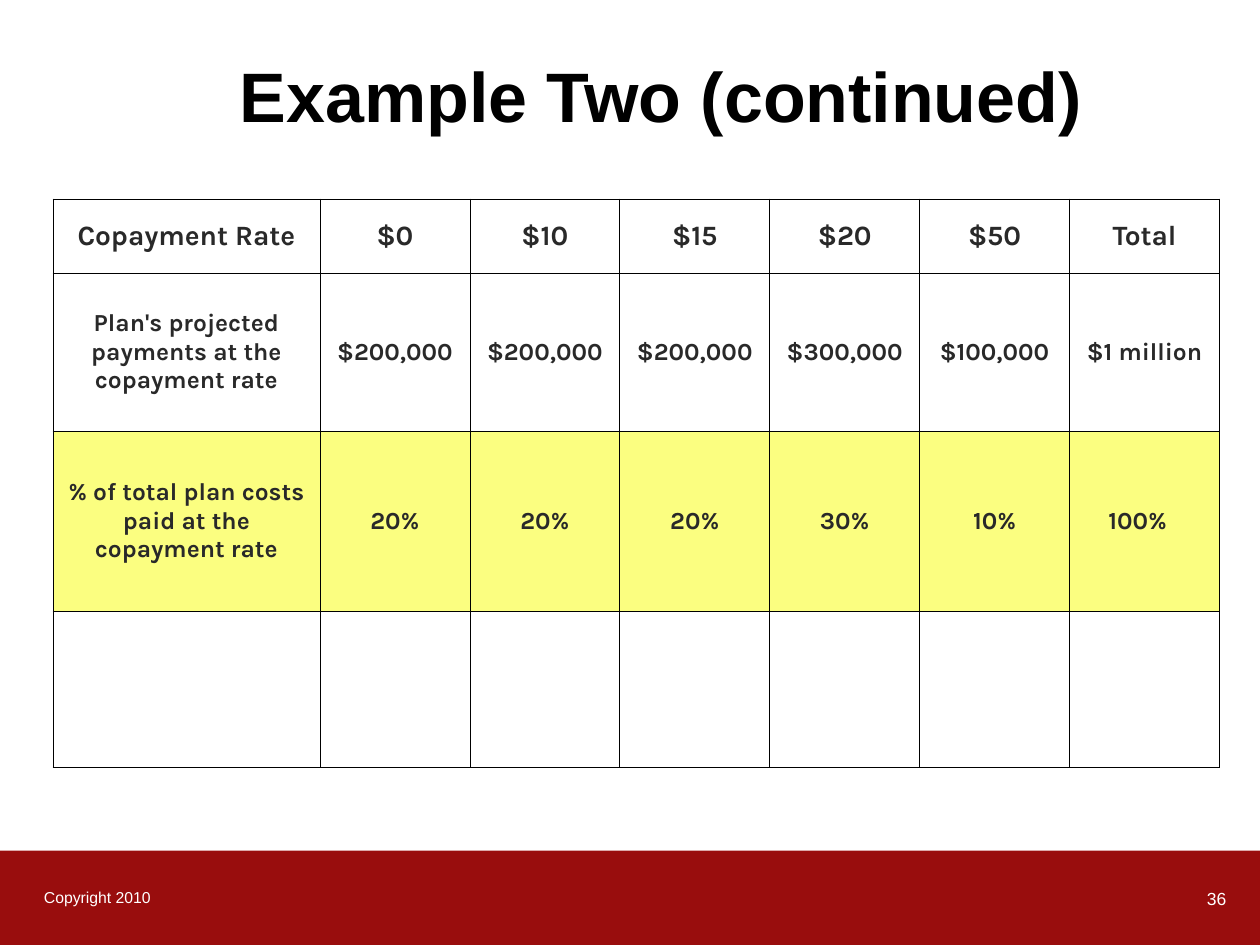
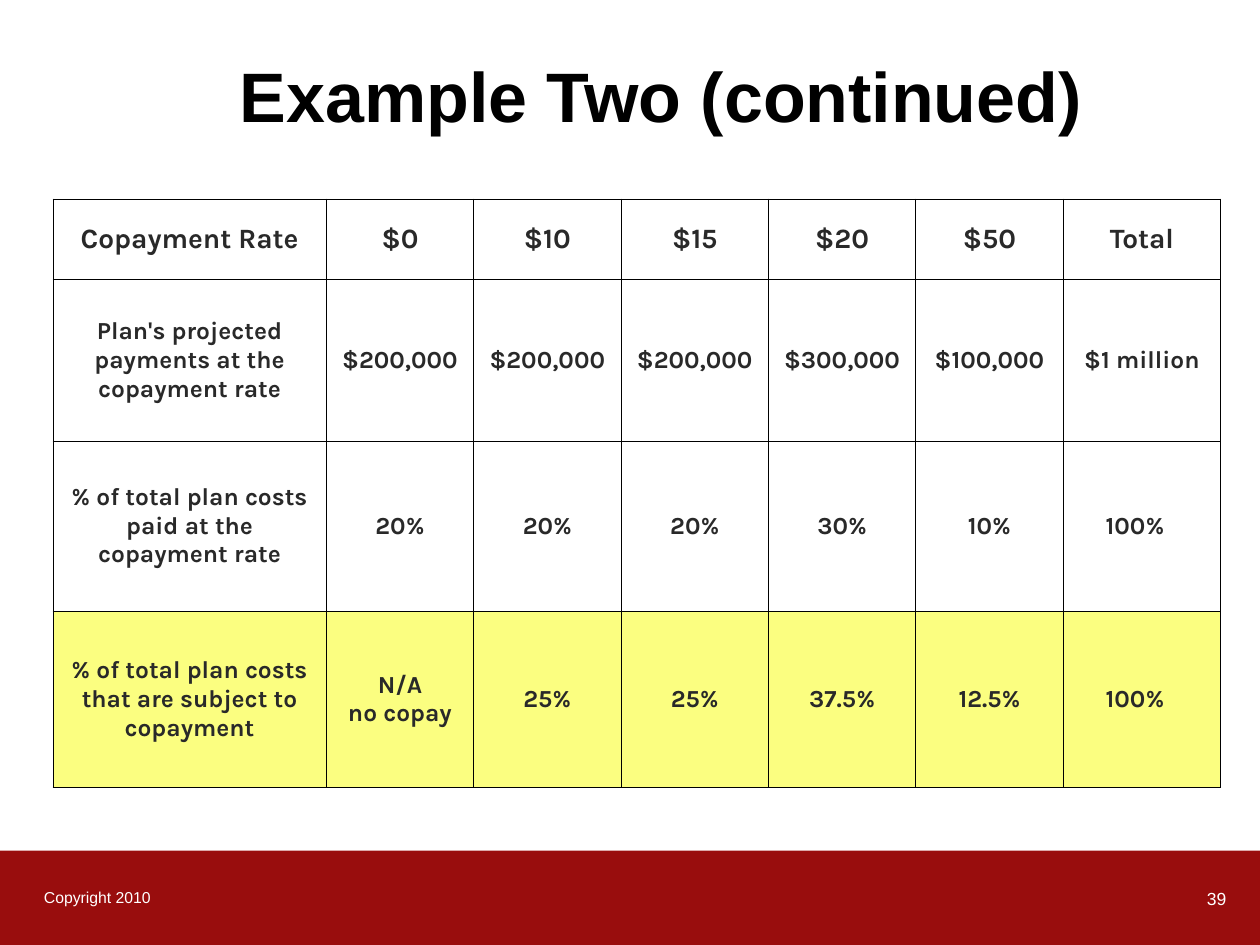
from dataclasses import dataclass

from lxml import etree
from pptx import Presentation
from pptx import util as u
from pptx.dml.color import RGBColor
from pptx.enum import shapes, text
from pptx.oxml import ns

# Shared scale: 100 px to the inch
PX = 9144
SLIDE_WIDTH, SLIDE_HEIGHT = 1000, 750

# Shared style
BLACK, WHITE, INK = "000000", "FFFFFF", "292929"
BAND_RED, HIGHLIGHT = "990D0D", "FBFE80"
TITLE_FONT, TABLE_FONT = "Arial", "Karla"
BORDER_WIDTH = 0.45
CENTER, LEFT, RIGHT = text.PP_ALIGN.CENTER, text.PP_ALIGN.LEFT, text.PP_ALIGN.RIGHT

# Table rows
HEADER = ("Copayment Rate", "$0", "$10", "$15", "$20", "$50", "Total")
PAYMENTS = ("Plan's projected payments at the copayment rate", "$200,000", "$200,000",
            "$200,000", "$300,000", "$100,000", "$1 million")
COST_SHARES = ("% of total plan costs paid at the copayment rate",
               "20%", "20%", "20%", "30%", "10%", "100%")
COPAY_SHARES = ("% of total plan costs that are subject to copayment",
                "N/A\nno copay", "25%", "25%", "37.5%", "12.5%", "100%")
EMPTY_ROW = ("",) * len(HEADER)


@dataclass(frozen=True)
class Box:
    left: int
    top: int
    width: int
    height: int

    def emu(self) -> tuple[int, ...]:
        return tuple(px(n) for n in (self.left, self.top, self.width, self.height))


@dataclass(frozen=True)
class CopaymentSlide:
    number: int
    rows: tuple[tuple[str, ...], ...]
    column_widths: tuple[int, ...]
    row_heights: tuple[int, ...]
    highlighted_row: int


COPAYMENT_SLIDES = (
    CopaymentSlide(36, (HEADER, PAYMENTS, COST_SHARES, EMPTY_ROW),
                   (212,) + (119,) * 6, (59, 125, 143, 124), 2),
    CopaymentSlide(39, (HEADER, PAYMENTS, COST_SHARES, COPAY_SHARES),
                   (217,) + (117,) * 5 + (125,), (64, 128, 135, 140), 3),
)


def px(length: int) -> int:
    return u.Emu(length * PX)


def color(value: str) -> RGBColor:
    return RGBColor.from_string(value)


def style_paragraph(paragraph, font_name: str, size: int, ink: str, alignment,
                    bold: bool = False) -> None:
    paragraph.alignment = alignment
    font = paragraph.font
    font.name, font.size, font.bold = font_name, u.Pt(size), bold
    font.color.rgb = color(ink)


def add_title(slide, wording: str) -> None:
    title = slide.shapes.title
    title.left, title.top, title.width, title.height = Box(108, 8, 833, 105).emu()
    frame = title.text_frame
    frame.text = wording
    frame.auto_size = text.MSO_AUTO_SIZE.NONE
    frame.vertical_anchor = text.MSO_ANCHOR.BOTTOM
    style_paragraph(frame.paragraphs[0], TITLE_FONT, 40, BLACK, CENTER, bold=True)


def add_footer_text(slide, wording: str, box: Box, size: int, alignment) -> None:
    frame = slide.shapes.add_textbox(*box.emu()).text_frame
    frame.word_wrap = True
    frame.text = wording
    style_paragraph(frame.paragraphs[0], TITLE_FONT, size, WHITE, alignment)


def add_footer(slide, number: int) -> None:
    band = slide.shapes.add_shape(shapes.MSO_SHAPE.RECTANGLE,
                                  *Box(0, 675, SLIDE_WIDTH, 75).emu())
    band.shadow.inherit = False
    band.fill.solid()
    band.fill.fore_color.rgb = color(BAND_RED)
    band.line.fill.background()
    add_footer_text(slide, "Copyright 2010", Box(25, 700, 208, 25), 9, LEFT)
    add_footer_text(slide, str(number), Box(775, 700, 208, 33), 10, RIGHT)


def add_cell_borders(cell) -> None:
    properties = cell._tc.get_or_add_tcPr()
    for side in ("a:lnL", "a:lnR", "a:lnT", "a:lnB"):
        line = etree.SubElement(properties, ns.qn(side), w=str(u.Pt(BORDER_WIDTH)))
        fill = etree.SubElement(line, ns.qn("a:solidFill"))
        etree.SubElement(fill, ns.qn("a:srgbClr"), val=BLACK)


def fill_cell(cell, wording: str, size: int, highlighted: bool) -> None:
    add_cell_borders(cell)
    if highlighted:
        cell.fill.solid()
        cell.fill.fore_color.rgb = color(HIGHLIGHT)
    else:
        cell.fill.background()
    cell.vertical_anchor = text.MSO_ANCHOR.MIDDLE
    # The 100% totals sit slightly left of centre
    cell.margin_right = px(21 if wording == "100%" else 10)
    paragraph = cell.text_frame.paragraphs[0]
    paragraph.text = wording
    style_paragraph(paragraph, TABLE_FONT, size, INK, CENTER, bold=True)


def add_copayment_table(slide, content: CopaymentSlide) -> None:
    box = Box(42, 158, sum(content.column_widths), sum(content.row_heights))
    table = slide.shapes.add_table(len(content.rows), len(HEADER), *box.emu()).table
    table.first_row = table.horz_banding = False
    for column, width in zip(table.columns, content.column_widths):
        column.width = px(width)
    for row_index, wordings in enumerate(content.rows):
        table.rows[row_index].height = px(content.row_heights[row_index])
        for column_index, wording in enumerate(wordings):
            fill_cell(table.cell(row_index, column_index), wording,
                      16 if row_index == 0 else 14,
                      row_index == content.highlighted_row)


def main() -> None:
    presentation = Presentation()
    presentation.slide_width = px(SLIDE_WIDTH)
    presentation.slide_height = px(SLIDE_HEIGHT)
    title_only = presentation.slide_layouts.get_by_name("Title Only")
    for content in COPAYMENT_SLIDES:
        slide = presentation.slides.add_slide(title_only)
        add_footer(slide, content.number)
        add_title(slide, "Example Two (continued)")
        add_copayment_table(slide, content)
    presentation.save("out.pptx")


if __name__ == "__main__":
    main()
